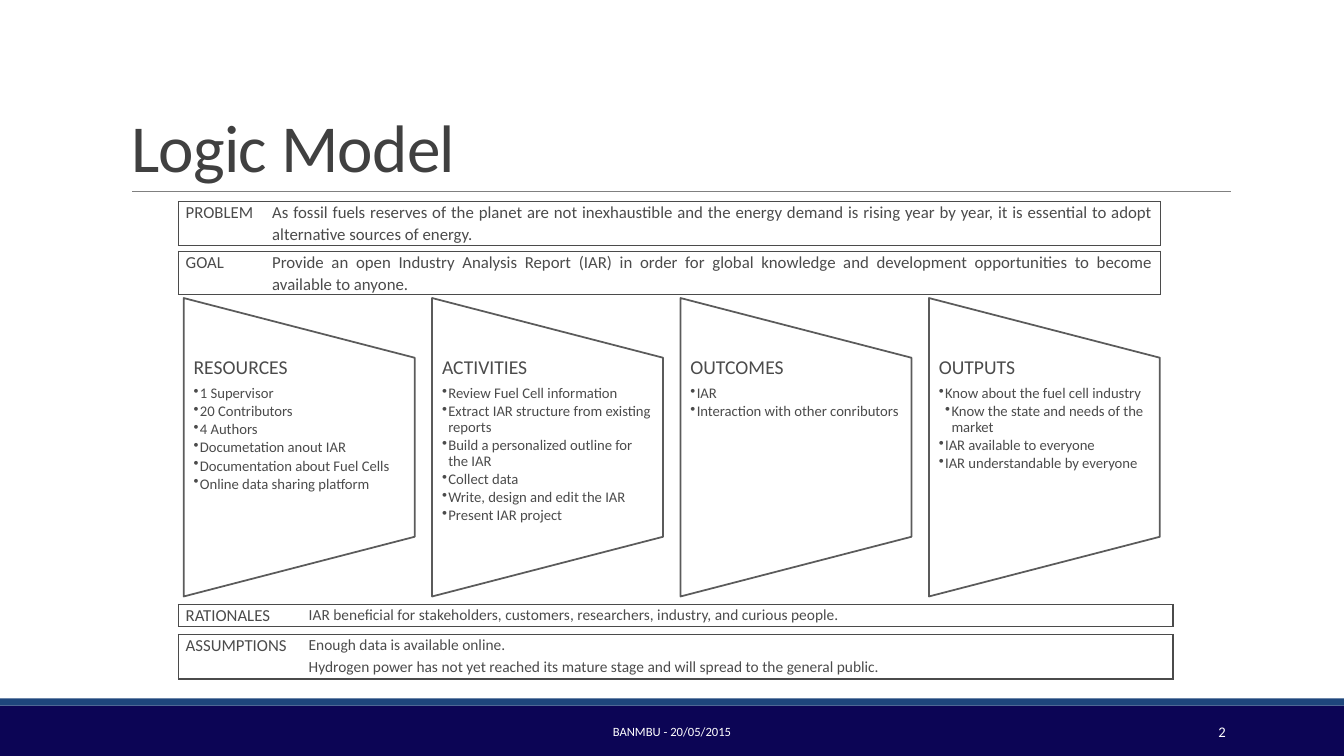
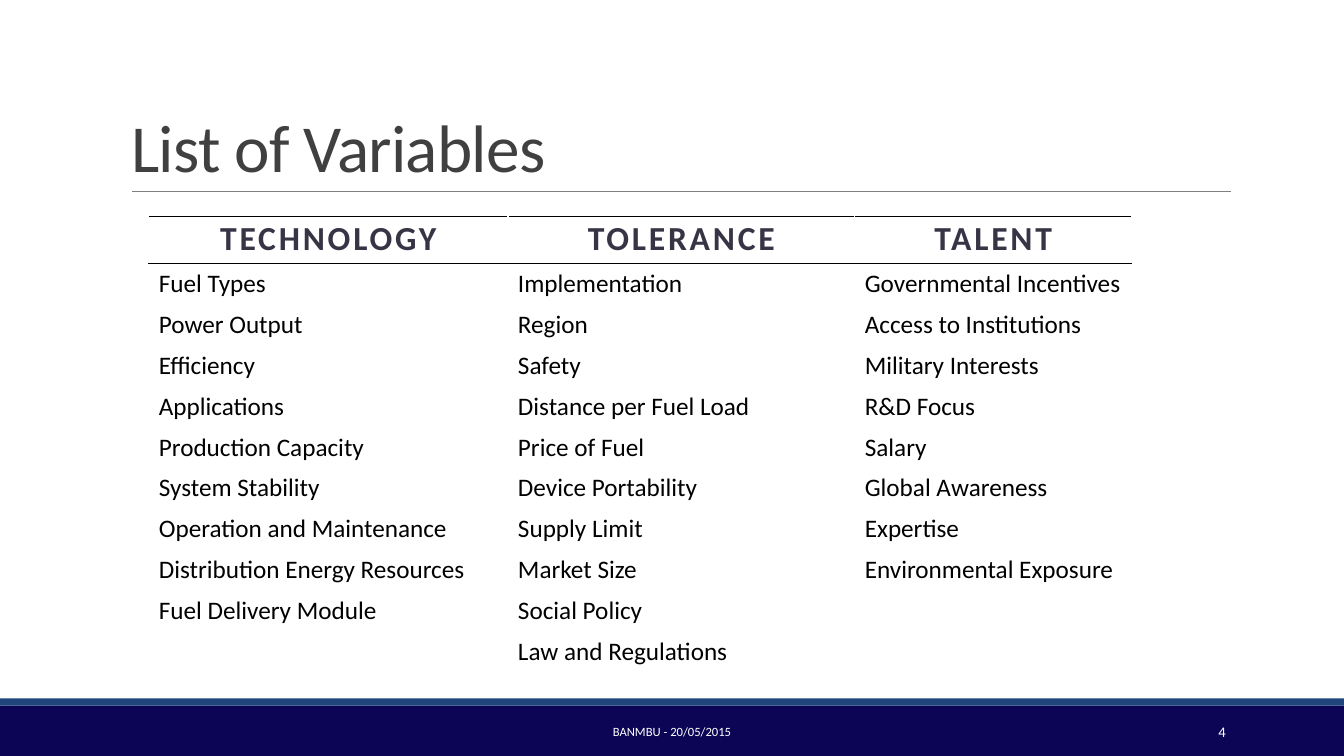
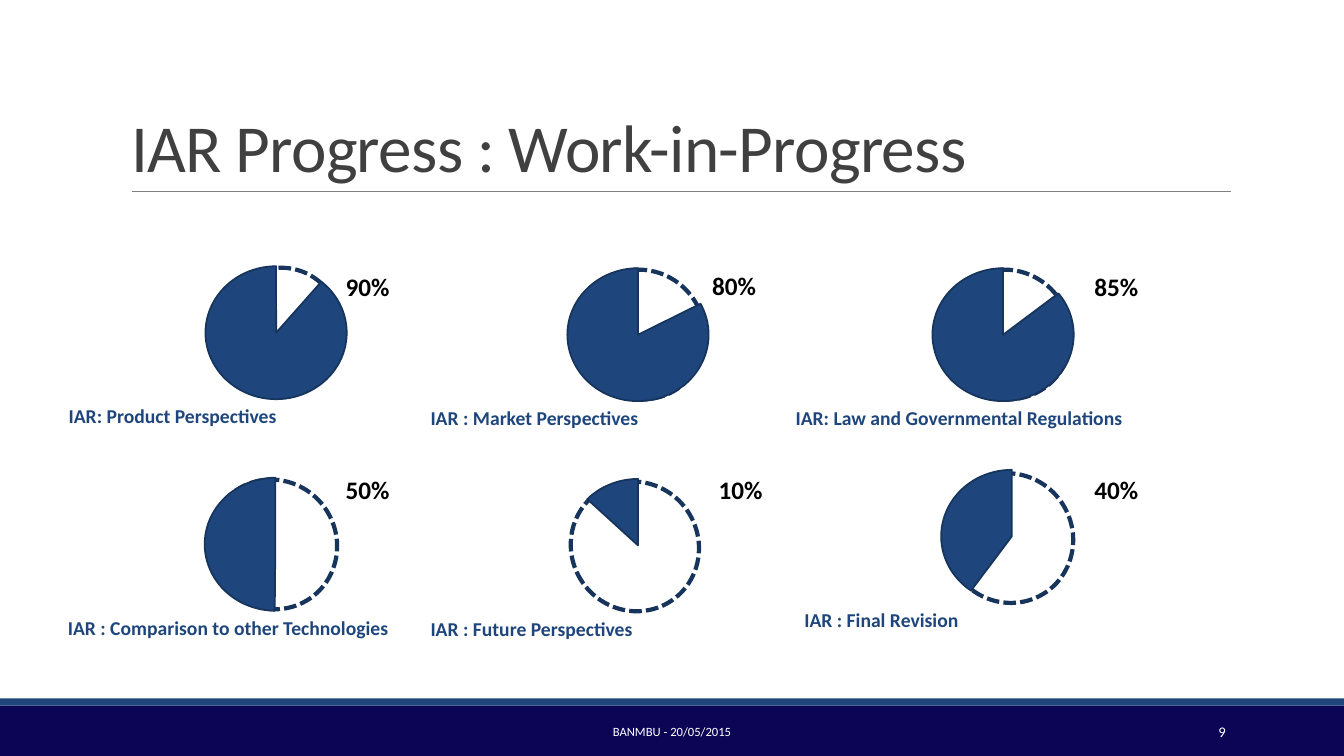
from lxml import etree
from pptx import Presentation
from pptx.dml.color import RGBColor
from pptx.enum.dml import MSO_LINE
from pptx.enum.shapes import MSO_CONNECTOR, MSO_SHAPE
from pptx.enum.text import MSO_ANCHOR, MSO_AUTO_SIZE, PP_ALIGN
from pptx.oxml.ns import qn
from pptx.util import Cm, Pt

RECTANGLE, ELLIPSE, PIE = MSO_SHAPE.RECTANGLE, MSO_SHAPE.OVAL, MSO_SHAPE.PIE
TRAPEZOID = MSO_SHAPE.FLOWCHART_MANUAL_OPERATION
STRAIGHT = MSO_CONNECTOR.STRAIGHT
DASHED = MSO_LINE.SQUARE_DOT
LEFT, CENTER = PP_ALIGN.LEFT, PP_ALIGN.CENTER
RIGHT, JUSTIFY = PP_ALIGN.RIGHT, PP_ALIGN.JUSTIFY
TOP, MIDDLE, BOTTOM = MSO_ANCHOR.TOP, MSO_ANCHOR.MIDDLE, MSO_ANCHOR.BOTTOM
NO_FIT = MSO_AUTO_SIZE.NONE

FONT = "Calibri"
WHITE = RGBColor(0xFF, 0xFF, 0xFF)
BLACK = RGBColor(0x00, 0x00, 0x00)
NAVY = RGBColor(0x0C, 0x05, 0x55)
BLUE = RGBColor(0x1E, 0x46, 0x7C)
DARK_BLUE = RGBColor(0x16, 0x34, 0x5C)
TITLE_GRAY = RGBColor(0x40, 0x40, 0x40)
TEXT_GRAY = RGBColor(0x4B, 0x4B, 0x4B)
CARD_GRAY = RGBColor(0x5B, 0x5B, 0x5B)
RULE_GRAY = RGBColor(0x80, 0x80, 0x80)
HEADER_GRAY = RGBColor(0x37, 0x35, 0x45)

BULLET_INDENT = Cm(0.16)
FOOTER = "BANMBU - 20/05/2015"


def write(para, text, size=18, color=BLACK, bold=False, tracking=0, align=LEFT,
          line=1.0, after=0, level=0):
    """Put formatted text in a paragraph; a level above 0 makes it a bullet."""
    para.alignment = align
    para.line_spacing = line
    para.space_after = Pt(after)
    if level:
        properties = para._p.get_or_add_pPr()
        properties.set("marL", str(BULLET_INDENT * level))
        properties.set("indent", str(-BULLET_INDENT))
        etree.SubElement(properties, qn("a:buChar")).set("char", "•")
    if not text:
        etree.SubElement(para._p, qn("a:endParaRPr")).set("sz", "100")
        return
    span = para.add_run()
    span.text = text
    font = span.font
    font.name, font.size, font.bold = FONT, Pt(size), bold
    font.color.rgb = color
    if tracking:
        span._r.get_or_add_rPr().set("spc", str(round(tracking * 100)))


def set_borders(cell, colors):
    """Draw the sides of a cell that have a colour; clear the others."""
    properties = cell._tc.get_or_add_tcPr()
    for side in "LRTB":
        edge = etree.SubElement(properties, qn(f"a:ln{side}"))
        edge.set("w", str(Pt(1)))
        if side in colors:
            fill = etree.SubElement(edge, qn("a:solidFill"))
            etree.SubElement(fill, qn("a:srgbClr")).set("val", str(colors[side]))
        else:
            etree.SubElement(edge, qn("a:noFill"))


class DeckBuilder:
    """Holds the deck, its shared style and the current slide."""

    def __init__(self):
        """Start an empty wide deck with the title area in place."""
        self.deck = Presentation()
        self.deck.slide_width, self.deck.slide_height = Cm(33.87), Cm(19.05)
        self.layout = self.deck.slide_layouts[5]
        title = self.layout.placeholders[0]
        title.left, title.top = Cm(3.05), Cm(0.79)
        title.width, title.height = Cm(27.94), Cm(4.03)
        self.page = None

    def add_page(self, title, number):
        """Add a slide with its title, footer and page number."""
        first = self.page is None
        self.page = self.deck.slides.add_slide(self.layout)
        if first:
            self.decorate_layout()
        frame = self.page.shapes.title.text_frame
        frame.auto_size, frame.vertical_anchor = NO_FIT, BOTTOM
        frame.word_wrap = True
        write(frame.paragraphs[0], title, size=48, color=TITLE_GRAY,
              tracking=-0.5, line=0.85)
        self.text(10.24, 17.93, 13.39, 1.02, FOOTER, anchor=MIDDLE,
                  size=9, color=WHITE, align=CENTER)
        self.text(27.51, 17.93, 3.63, 1.02, str(number), anchor=MIDDLE,
                  size=10.5, color=WHITE, align=RIGHT)

    def decorate_layout(self):
        """Give the layout the bottom bands and the rule under the title."""
        parts = [
            self.shape(RECTANGLE, 0, 17.78, 33.87, 1.27, fill=NAVY),
            self.shape(RECTANGLE, 0, 17.6, 33.87, 0.18, fill=BLUE),
            self.rule(3.33, 4.83, 31.01, RULE_GRAY, 0.5),
        ]
        for part in parts:
            self.layout.shapes.element.append(part.element)

    def shape(self, kind, left, top, width, height, fill=None, line=None,
              weight=1.25, rotation=0):
        """Add a preset shape without shadow."""
        shape = self.page.shapes.add_shape(
            kind, Cm(left), Cm(top), Cm(width), Cm(height))
        shape.shadow.inherit = False
        shape.rotation = rotation
        if fill is None:
            shape.fill.background()
        else:
            shape.fill.solid()
            shape.fill.fore_color.rgb = fill
        if line is None:
            shape.line.fill.background()
        else:
            shape.line.color.rgb = line
            shape.line.width = Pt(weight)
        return shape

    def rule(self, left, top, right, color, weight):
        """Add a horizontal line."""
        rule = self.page.shapes.add_connector(
            STRAIGHT, Cm(left), Cm(top), Cm(right), Cm(top))
        rule.line.color.rgb = color
        rule.line.width = Pt(weight)
        etree.SubElement(rule.element.spPr, qn("a:effectLst"))
        return rule

    def text(self, left, top, width, height, text, anchor=TOP, **style):
        """Add a wrapping text box with one paragraph and return its frame."""
        box = self.page.shapes.add_textbox(
            Cm(left), Cm(top), Cm(width), Cm(height))
        frame = box.text_frame
        frame.word_wrap, frame.vertical_anchor = True, anchor
        write(frame.paragraphs[0], text, **style)
        return frame

    def table(self, left, top, widths, heights):
        """Add a table without banding and return it."""
        table = self.page.shapes.add_table(
            len(heights), len(widths), Cm(left), Cm(top),
            Cm(sum(widths)), Cm(sum(heights))).table
        table.first_row = table.horz_banding = False
        for column, width in zip(table.columns, widths):
            column.width = Cm(width)
        for row, height in zip(table.rows, heights):
            row.height = Cm(height)
        return table

    def statements(self, top, widths, rows, body_size):
        """Add boxed rows of (height, horizontal edges, label, statement)."""
        table = self.table(4.5, top, widths, [row[0] for row in rows])
        for index, (_, edges, *texts) in enumerate(rows):
            sizes = (12, body_size)
            for column, (text, size, side) in enumerate(zip(texts, sizes, "LR")):
                cell = table.cell(index, column)
                cell.margin_left = cell.margin_right = Cm(0.18)
                cell.margin_top = cell.margin_bottom = 0
                sides = edges + side if any(texts) else edges
                set_borders(cell, dict.fromkeys(sides, TEXT_GRAY))
                cell.fill.background()
                write(cell.text_frame.paragraphs[0], text, size=size,
                      color=TEXT_GRAY, align=JUSTIFY, line=1.07)

    def variables(self, left, top, widths, columns):
        """Add a table of lists, one column per heading."""
        count = max(len(items) for items in columns.values())
        table = self.table(left, top, widths, [1.19] + [1.03] * count)
        for column, (heading, items) in enumerate(columns.items()):
            texts = [heading, *items] + [""] * (count - len(items))
            for row, text in enumerate(texts):
                cell = table.cell(row, column)
                colors = dict.fromkeys("LRTB", WHITE)
                if row < 2:
                    colors["T"] = BLACK
                style = {}
                if row == 0:
                    colors["B"] = BLACK
                    style = dict(size=24, color=HEADER_GRAY, bold=True,
                                 tracking=2, align=CENTER, line=0.9)
                set_borders(cell, colors)
                cell.fill.solid()
                cell.fill.fore_color.rgb = WHITE
                write(cell.text_frame.paragraphs[0], text, **style)

    def card(self, left, heading, items):
        """Add a sideways trapezoid with a heading and (level, text) bullets."""
        self.shape(TRAPEZOID, left - 0.85, 8.36, 7.52, 5.82, fill=WHITE,
                   line=CARD_GRAY, rotation=270)
        frame = self.text(left, 9.02, 5.82, 4.52, heading, size=14,
                          color=TEXT_GRAY, line=0.9, after=4.9)
        frame.margin_top = frame.margin_bottom = 0
        for level, item in items:
            write(frame.add_paragraph(), item, size=10.5, color=TEXT_GRAY,
                  line=0.9, after=1.6, level=level)

    def progress(self, caption, percent, start, pie_at, ring_at, percent_at,
                 ring_height=3.3):
        """Add a pie on a dashed ring; it runs from start degrees to the top."""
        ring = self.shape(ELLIPSE, *ring_at, 3.2, ring_height, line=DARK_BLUE,
                          weight=3, rotation=325.2)
        ring.line.dash_style = DASHED
        left, top = pie_at
        pie = self.shape(PIE, left, top, 3.56, 3.35, fill=BLUE, line=DARK_BLUE)
        for index, degrees in enumerate((start, 270)):
            pie.adjustments[index] = degrees * 0.6
        self.text(left - 3.7, top + 3.35, 10.97, 0.86, caption,
                  size=14, color=BLUE, bold=True)
        self.text(*percent_at, 2.74, 1.02, f"{percent}%", bold=True)


def build_logic_model(builder):
    """Build the logic model slide."""
    builder.add_page("Logic Model", 2)
    builder.statements(5.08, (2.18, 22.56), [
        (1.1, "TB", "PROBLEM",
         "As fossil fuels reserves of the planet are not inexhaustible and the "
         "energy demand is rising year by year, it is essential to adopt "
         "alternative sources of energy."),
        (0.15, "TB", "", ""),
        (1.1, "TB", "GOAL",
         "Provide an open Industry Analysis Report (IAR) in order for global "
         "knowledge and development opportunities to become available to anyone."),
    ], body_size=12)
    builder.statements(15.23, (3.1, 21.96), [
        (0.56, "TB", "RATIONALES",
         "IAR beneficial for stakeholders, customers, researchers, industry, "
         "and curious people."),
        (0.2, "TB", "", ""),
        (0.56, "T", "ASSUMPTIONS", "Enough data is available online."),
        (0.56, "B", "",
         "Hydrogen power has not yet reached its mature stage and will spread "
         "to the general public."),
    ], body_size=11)
    cards = {
        "RESOURCES": [
            (1, "1 Supervisor"), (1, "20 Contributors"), (1, "4 Authors"),
            (1, "Documetation anout IAR"),
            (1, "Documentation about Fuel Cells"),
            (1, "Online data sharing platform")],
        "ACTIVITIES": [
            (1, "Review Fuel Cell information"),
            (1, "Extract IAR structure from existing reports"),
            (1, "Build a personalized outline for the IAR"),
            (1, "Collect data"), (1, "Write, design and edit the IAR"),
            (1, "Present IAR project")],
        "OUTCOMES": [
            (1, "IAR"), (1, "Interaction with other conributors")],
        "OUTPUTS": [
            (1, "Know about the fuel cell industry"),
            (2, "Know the state and needs of the market"),
            (1, "IAR available to everyone"),
            (1, "IAR understandable by everyone")],
    }
    for index, (heading, items) in enumerate(cards.items()):
        builder.card(4.63 + 6.26 * index, heading, items)


def build_variables(builder):
    """Build the slide with the table of variables."""
    builder.add_page("List of Variables", 4)
    builder.variables(3.75, 5.45, (9.05, 8.74, 6.98), {
        "TECHNOLOGY": [
            "Fuel Types", "Power Output", "Efficiency", "Applications",
            "Production Capacity", "System Stability",
            "Operation and Maintenance", "Distribution Energy Resources",
            "Fuel Delivery Module"],
        "TOLERANCE": [
            "Implementation", "Region", "Safety", "Distance per Fuel Load",
            "Price of Fuel", "Device Portability", "Supply Limit",
            "Market Size", "Social Policy", "Law and Regulations"],
        "TALENT": [
            "Governmental Incentives", "Access to Institutions",
            "Military Interests", "R&D Focus", "Salary", "Global Awareness",
            "Expertise", "Environmental Exposure"],
    })


def build_progress(builder):
    """Build the slide with six progress pies."""
    builder.add_page("IAR Progress : Work-in-Progress", 9)
    builder.progress("IAR: Product Perspectives", 90, 311.58, (5.18, 6.71),
                     (5.38, 6.78), (8.46, 6.71), ring_height=3)
    builder.progress("IAR : Market Perspectives", 80, 333.69, (14.3, 6.76),
                     (14.55, 6.78), (17.7, 6.68))
    builder.progress("IAR: Law and Governmental Regulations", 85, 323.25,
                     (23.5, 6.76), (23.77, 6.78), (27.33, 6.71))
    builder.progress("IAR : Comparison to other Technologies", 50, 90.49,
                     (5.16, 12.04), (5.28, 12.07), (8.46, 11.84))
    builder.progress("IAR : Future Perspectives", 10, 222.35, (14.3, 12.07),
                     (14.4, 12.12), (17.86, 11.84))
    builder.progress("IAR : Final Revision", 40, 126.87, (23.72, 11.84),
                     (23.83, 11.91), (27.33, 11.84))


builder = DeckBuilder()
build_logic_model(builder)
build_variables(builder)
build_progress(builder)
builder.deck.save("out.pptx")
